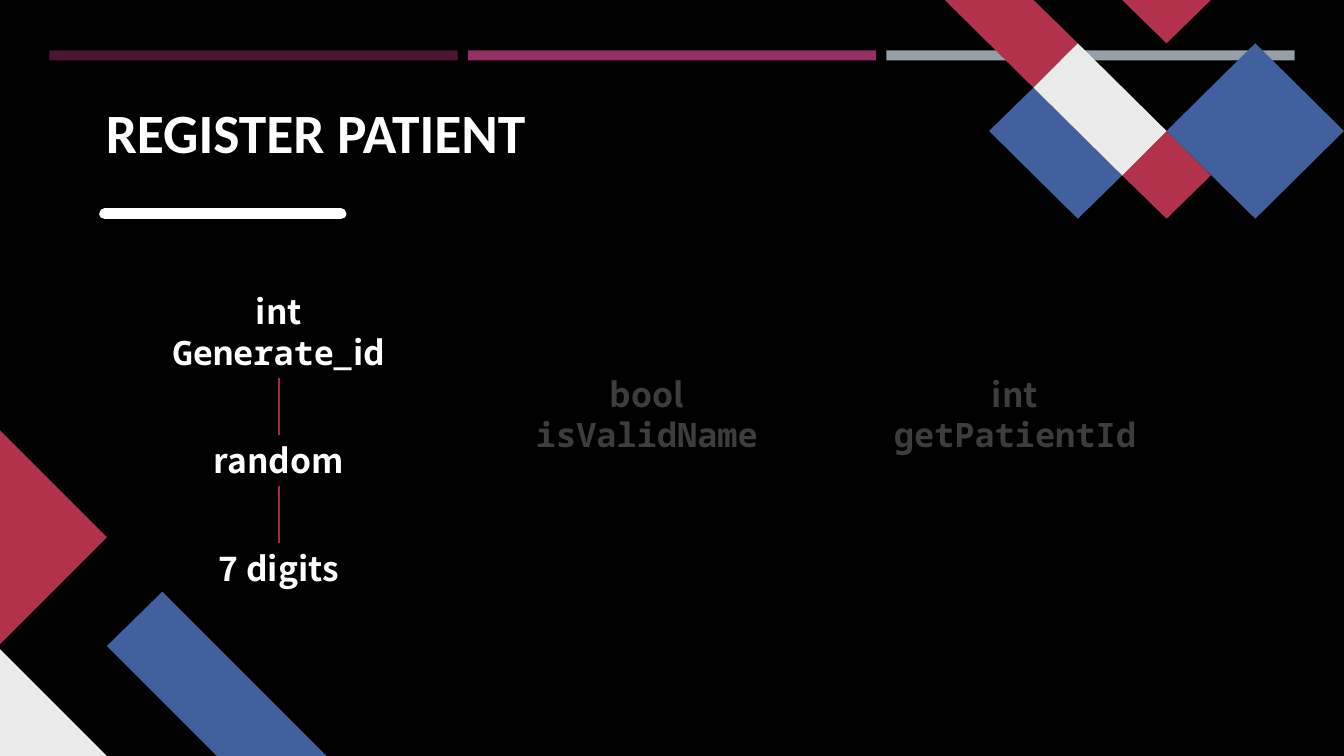
from pptx import Presentation
from pptx.dml.color import RGBColor
from pptx.enum.shapes import MSO_CONNECTOR as CONN, MSO_SHAPE as SHAPE
from pptx.enum.text import MSO_ANCHOR as ANCHOR, MSO_AUTO_SIZE as AUTO, PP_ALIGN as ALIGN
from pptx.util import Inches, Pt
from lxml.etree import SubElement
from pptx.oxml.ns import qn

THEME = {
    "black": "000000", "white": "FFFFFF", "dim": "3D3D3D",
    "plum": "4D1434", "magenta": "903163", "steel": "969FA7",
    "red": "B2324B", "blue": "40619D", "pale": "EBEBEB", "link": "A02D44",
    "head": "Calibri", "sans": "Noto Sans CJK SC", "mono": "Noto Sans Mono",
    "title_size": 39.6, "body_size": 24, "rule_width": 8, "link_width": 1.5,
}

# Content
TITLE = "REGISTER PATIENT"
BARS = ["plum", "magenta", "steel"]
# Each outline: colour, then one or more closed contours
OUTLINES = [
    ("blue", [[(3.24, 7.5), (2.15, 7.5), (1.06, 6.41), (1.61, 5.87)]]),
    ("pale", [[(0, 6.44), (1.06, 7.5), (0, 7.5)]]),
    ("red", [[(0, 4.27), (1.06, 5.33), (0, 6.39)]]),
    ("red", [[(10.69, 0.43), (10.25, 0), (9.37, 0), (10.25, 0.87)],
             [(12.01, 1.74), (11.57, 1.3), (11.13, 1.74), (11.57, 2.17)]]),
    ("blue", [[(10.25, 0.87), (9.81, 1.3), (10.69, 2.17), (11.13, 1.74)]]),
    ("red", [[(12.01, 0), (11.13, 0), (11.57, 0.43)]]),
    ("pale", [[(10.69, 0.43), (10.25, 0.87), (11.13, 1.74), (11.57, 1.3)]]),
    ("blue", [[(13.33, 1.3), (12.45, 0.43), (11.57, 1.3), (12.45, 2.17)]]),
]
# Each label: runs of (text, font), colour, (left, top, width, height)
STEPS = [
    ([("int ", "sans"), ("Generate", "mono"), ("_id", "sans")], "white", (1.44, 2.84, 2.65, 0.91)),
    ([("random", "sans")], "white", (1.99, 4.32, 1.55, 0.5)),
    ([("7 digits", "sans")], "white", (1.99, 5.39, 1.55, 0.5)),
]
OTHER_FUNCTIONS = [
    ([("bool ", "sans"), ("isValidName", "mono")], "dim", (5.09, 3.66, 2.65, 0.91)),
    ([("int ", "sans"), ("getPatientId", "mono")], "dim", (8.74, 3.66, 2.65, 0.91)),
]

BAR_LEFT, BAR_TOP, BAR_WIDTH, BAR_HEIGHT, BAR_PITCH = 0.49, 0.5, 4.05, 0.1, 4.15


def rgb(name):
    return RGBColor.from_string(THEME[name])


def paint(sp, colour):
    sp.shadow.inherit = False
    sp.fill.solid()
    sp.fill.fore_color.rgb = rgb(colour)
    sp.line.fill.background()


def add_outline(slide, colour, contours):
    contours = [[(Inches(x), Inches(y)) for x, y in c] for c in contours]
    first, *others = contours
    builder = slide.shapes.build_freeform(*first[0])
    builder.add_line_segments(first[1:], close=True)
    for contour in others:
        builder.move_to(*contour[0])
        builder.add_line_segments(contour[1:], close=True)
    paint(builder.convert_to_shape(), colour)


def add_line(slide, start, end, colour, width):
    s = slide.shapes.add_connector(CONN.STRAIGHT, *map(Inches, start + end))
    s.line.color.rgb = rgb(colour)
    s.line.width = Pt(THEME[width])
    SubElement(s._element.spPr, qn("a:effectLst"))
    return s


def add_text(slide, runs, colour, box, size):
    sp = slide.shapes.add_textbox(*map(Inches, box))
    tf = sp.text_frame
    tf.word_wrap = True
    for text, font in runs:
        r = tf.paragraphs[0].add_run()
        r.text = text
        r.font.name = THEME[font]
        r.font.size = Pt(THEME[size])
        r.font.bold = True
        r.font.color.rgb = rgb(colour)
    return sp


def add_label(slide, runs, colour, box):
    sp = add_text(slide, runs, colour, box, "body_size")
    sp.text_frame.auto_size = AUTO.SHAPE_TO_FIT_TEXT
    sp.text_frame.paragraphs[0].alignment = ALIGN.CENTER
    return sp


def main():
    prs = Presentation()
    prs.slide_width, prs.slide_height = Inches(13.33), Inches(7.5)
    slide = prs.slides.add_slide(prs.slide_layouts[6])
    slide.background.fill.solid()
    slide.background.fill.fore_color.rgb = rgb("black")

    # Top bars
    for i, colour in enumerate(BARS):
        box = (BAR_LEFT + i * BAR_PITCH, BAR_TOP, BAR_WIDTH, BAR_HEIGHT)
        paint(slide.shapes.add_shape(SHAPE.RECTANGLE, *map(Inches, box)), colour)

    # Corner decorations
    for colour, contours in OUTLINES:
        add_outline(slide, colour, contours)

    # Title and its round-ended rule
    rule = add_line(slide, (1.04, 2.12), (3.38, 2.12), "white", "rule_width")
    rule.line._get_or_add_ln().set("cap", "rnd")
    title = add_text(slide, [(TITLE, "head")], "white", (1.05, 0.96, 8.24, 0.67), "title_size")
    tf = title.text_frame
    tf.vertical_anchor = ANCHOR.BOTTOM
    tf.margin_left = tf.margin_right = tf.margin_top = tf.margin_bottom = 0

    # Function labels and the linked steps of the first one
    for label in OTHER_FUNCTIONS:
        add_label(slide, *label)
    steps = [add_label(slide, *step) for step in STEPS]
    for upper, lower in zip(steps, steps[1:]):
        link = add_line(slide, (0, 0), (0, 0), "link", "link_width")
        link.begin_connect(upper, 2)
        link.end_connect(lower, 0)

    prs.save("out.pptx")


if __name__ == "__main__":
    main()
